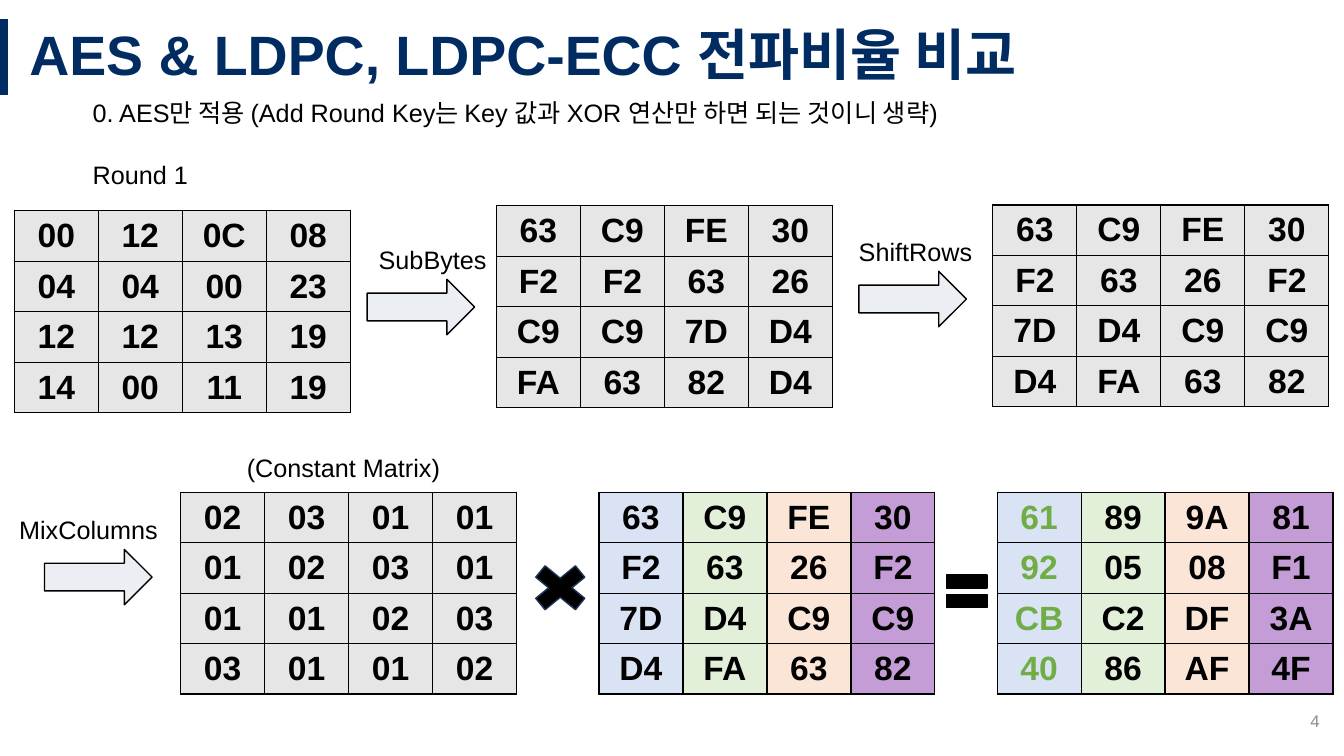
from lxml import etree
from pptx import Presentation
from pptx.dml.color import RGBColor
from pptx.enum.shapes import MSO_CONNECTOR, MSO_SHAPE
from pptx.enum.text import MSO_ANCHOR, PP_ALIGN
from pptx.oxml import parse_xml
from pptx.oxml.ns import qn
from pptx.util import Inches, Pt

LEFT, CENTER, RIGHT = PP_ALIGN.LEFT, PP_ALIGN.CENTER, PP_ALIGN.RIGHT
TOP, MIDDLE = MSO_ANCHOR.TOP, MSO_ANCHOR.MIDDLE
ARROW, TIMES, EQUALS = MSO_SHAPE.RIGHT_ARROW, MSO_SHAPE.MATH_MULTIPLY, MSO_SHAPE.MATH_EQUAL
STRAIGHT = MSO_CONNECTOR.STRAIGHT

NAVY = RGBColor(0x00, 0x2C, 0x62)
DARK_BLUE = RGBColor(0x1E, 0x32, 0x56)
BLACK = RGBColor(0x00, 0x00, 0x00)
NUMBER_GRAY = RGBColor(0x8C, 0x8C, 0x8C)
CELL_GRAY = RGBColor(0xE7, 0xE6, 0xE6)
PALE_GRAY = RGBColor(0xEB, 0xEE, 0xF2)
GREEN = RGBColor(0x70, 0xAD, 0x47)
PALE_BLUE = RGBColor(0xDA, 0xE3, 0xF3)
PALE_GREEN = RGBColor(0xE2, 0xF0, 0xD9)
PALE_ORANGE = RGBColor(0xFB, 0xE5, 0xD6)
PURPLE = RGBColor(0xC4, 0x9D, 0xD6)

# Page grid: 160 columns by 90 rows; a matrix cell spans 10 by 6
COLUMNS, ROWS = 160, 90
CELL_WIDTH, CELL_HEIGHT = 10, 6

deck = Presentation()
deck.slide_width, deck.slide_height = Inches(13.33), Inches(7.5)
page = deck.slides.add_slide(deck.slide_layouts[6])


def grid(*lengths):
    """Turn alternating column and row counts into slide lengths."""
    units = (deck.slide_width / COLUMNS, deck.slide_height / ROWS)
    return [round(length * units[index % 2]) for index, length in enumerate(lengths)]


def write(frame, lines, size, color, bold=False, align=LEFT):
    for index, line in enumerate(lines):
        para = frame.paragraphs[0] if index == 0 else frame.add_paragraph()
        para.alignment = align
        if index:
            para.space_before = Pt(22)
        span = para.add_run()
        span.text = line
        span.font.color.rgb = color
        for name, value in {"name": "Arial", "size": Pt(size), "bold": bold}.items():
            setattr(span.font, name, value)


# Bar beside the title
bar = page.shapes.add_connector(STRAIGHT, *grid(0.5, 2.3, 0.5, 11.3))
bar.line.color.rgb = NAVY
bar.line.width = Pt(6)
etree.SubElement(bar._element.spPr, qn("a:effectLst"))

# Title, introduction, step labels and page number
texts = [
    ((2.3, 2.3, 157.7, 9), ["AES & LDPC, LDPC-ECC 전파비율 비교"], 39.6, NAVY, True, LEFT, MIDDLE),
    ((9.85, 11.05, 136.9, 11.9),
     ["0. AES만 적용 (Add Round Key는 Key 값과 XOR 연산만 하면 되는 것이니 생략)", "Round 1"],
     18, BLACK, False, LEFT, TOP),
    ((43.9, 28.45, 17.3, 4.8), ["SubBytes"], 18, BLACK, False, LEFT, TOP),
    ((101.05, 27.5, 17.4, 4.8), ["ShiftRows"], 18, BLACK, False, LEFT, TOP),
    ((1.1, 60.6, 21.8, 4.8), ["MixColumns"], 18, BLACK, False, LEFT, TOP),
    ((28.2, 53.3, 28.9, 4.8), ["(Constant Matrix)"], 18, BLACK, False, LEFT, TOP),
    ((122.3, 83.4, 36, 4.8), ["4"], 12, NUMBER_GRAY, False, RIGHT, MIDDLE),
]
for place, lines, size, color, bold, align, anchor in texts:
    box = page.shapes.add_textbox(*grid(*place))
    box.text_frame.word_wrap = True
    box.text_frame.vertical_anchor = anchor
    write(box.text_frame, lines, size, color, bold, align)
    if bold:
        box.text_frame.paragraphs[0].line_spacing = 0.9

# Step arrows and operators
symbols = [
    (ARROW, (43.7, 33.25, 12.8, 6.6), PALE_GRAY, BLACK),
    (ARROW, (102.25, 32.3, 12.8, 6.6), PALE_GRAY, BLACK),
    (ARROW, (5.3, 65.4, 12.8, 6.6), PALE_GRAY, BLACK),
    (TIMES, (62.15, 66.25, 9.1, 7.45), BLACK, DARK_BLUE),
    (EQUALS, (111.85, 67.1, 6.5, 6.6), BLACK, BLACK),
]
for kind, place, fill, outline in symbols:
    symbol = page.shapes.add_shape(kind, *grid(*place))
    symbol.shadow.inherit = False
    symbol.fill.solid()
    symbol.fill.fore_color.rgb = fill
    symbol.line.color.rgb = outline
    symbol.line.width = Pt(1)

# Matrices: left, top, column fills, first column colour, rows
PLAIN = [CELL_GRAY] * 4
STRIPES = [PALE_BLUE, PALE_GREEN, PALE_ORANGE, PURPLE]
SHIFTED = ["63 C9 FE 30", "F2 63 26 F2", "7D D4 C9 C9", "D4 FA 63 82"]
matrices = [
    (1.7, 25.1, PLAIN, BLACK, ["00 12 0C 08", "04 04 00 23", "12 12 13 19", "14 00 11 19"]),
    (59.1, 24.5, PLAIN, BLACK, ["63 C9 FE 30", "F2 F2 63 26", "C9 C9 7D D4", "FA 63 82 D4"]),
    (118.2, 24.4, PLAIN, BLACK, SHIFTED),
    (21.5, 58.6, PLAIN, BLACK, ["02 03 01 01", "01 02 03 01", "01 01 02 03", "03 01 01 02"]),
    (71.3, 58.6, STRIPES, BLACK, SHIFTED),
    (118.7, 58.6, STRIPES, GREEN, ["61 89 9A 81", "92 05 08 F1", "CB C2 DF 3A", "40 86 AF 4F"]),
]
BORDER = (
    '<a:{} xmlns:a="http://schemas.openxmlformats.org/drawingml/2006/main" w="12700">'
    '<a:solidFill><a:srgbClr val="000000"/></a:solidFill></a:{}>'
)
for left, top, fills, first_color, rows in matrices:
    place = grid(left, top, 4 * CELL_WIDTH, 4 * CELL_HEIGHT)
    table = page.shapes.add_table(4, 4, *place).table
    table.first_row = table.horz_banding = False
    for row, line in enumerate(rows):
        for column, value in enumerate(line.split()):
            cell = table.cell(row, column)
            cell.vertical_anchor = MIDDLE
            for side in ("lnL", "lnR", "lnT", "lnB"):
                cell._tc.get_or_add_tcPr().append(parse_xml(BORDER.format(side, side)))
            cell.fill.solid()
            cell.fill.fore_color.rgb = fills[column]
            color = BLACK if column else first_color
            write(cell.text_frame, [value], 24, color, True, CENTER)

deck.save("out.pptx")
